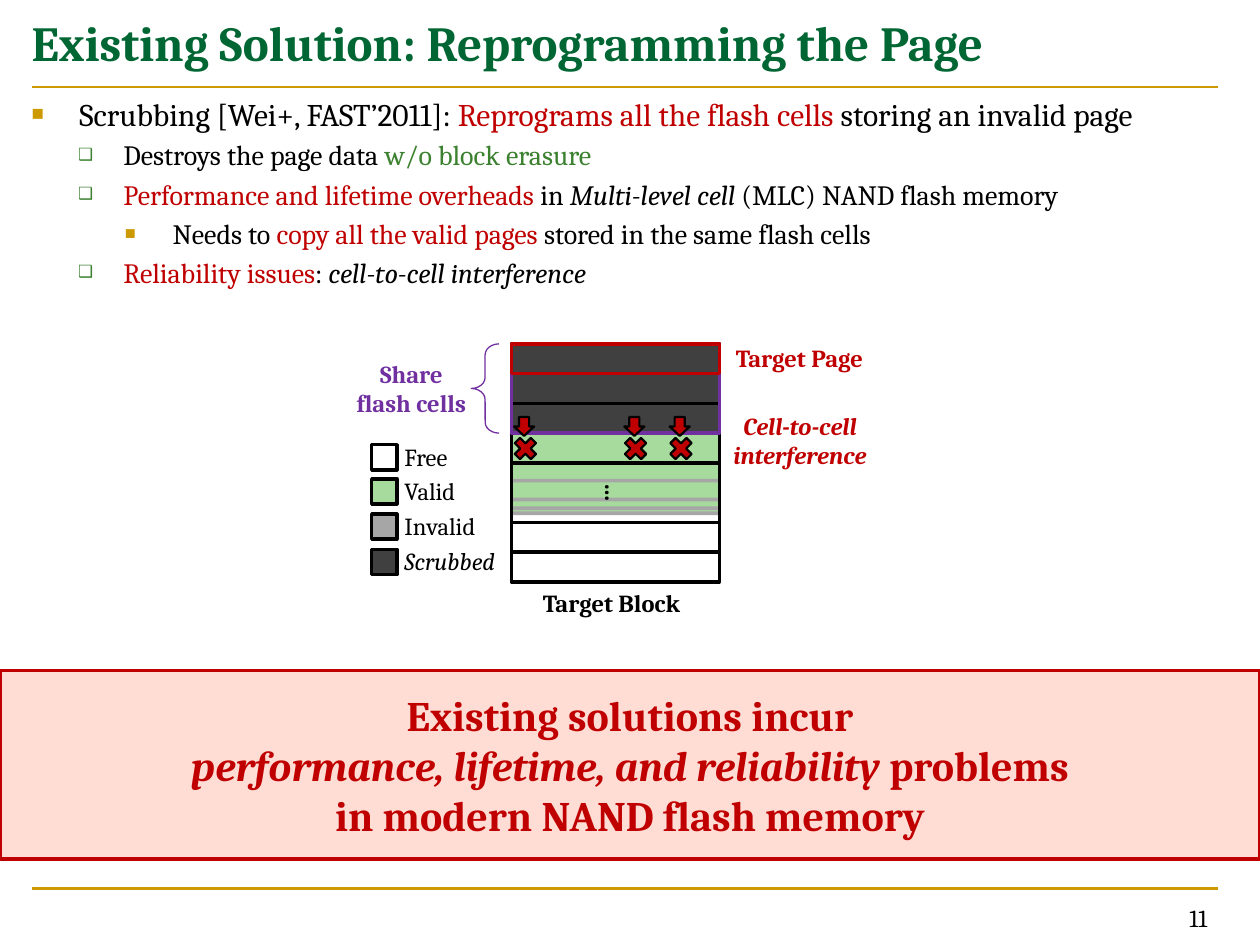
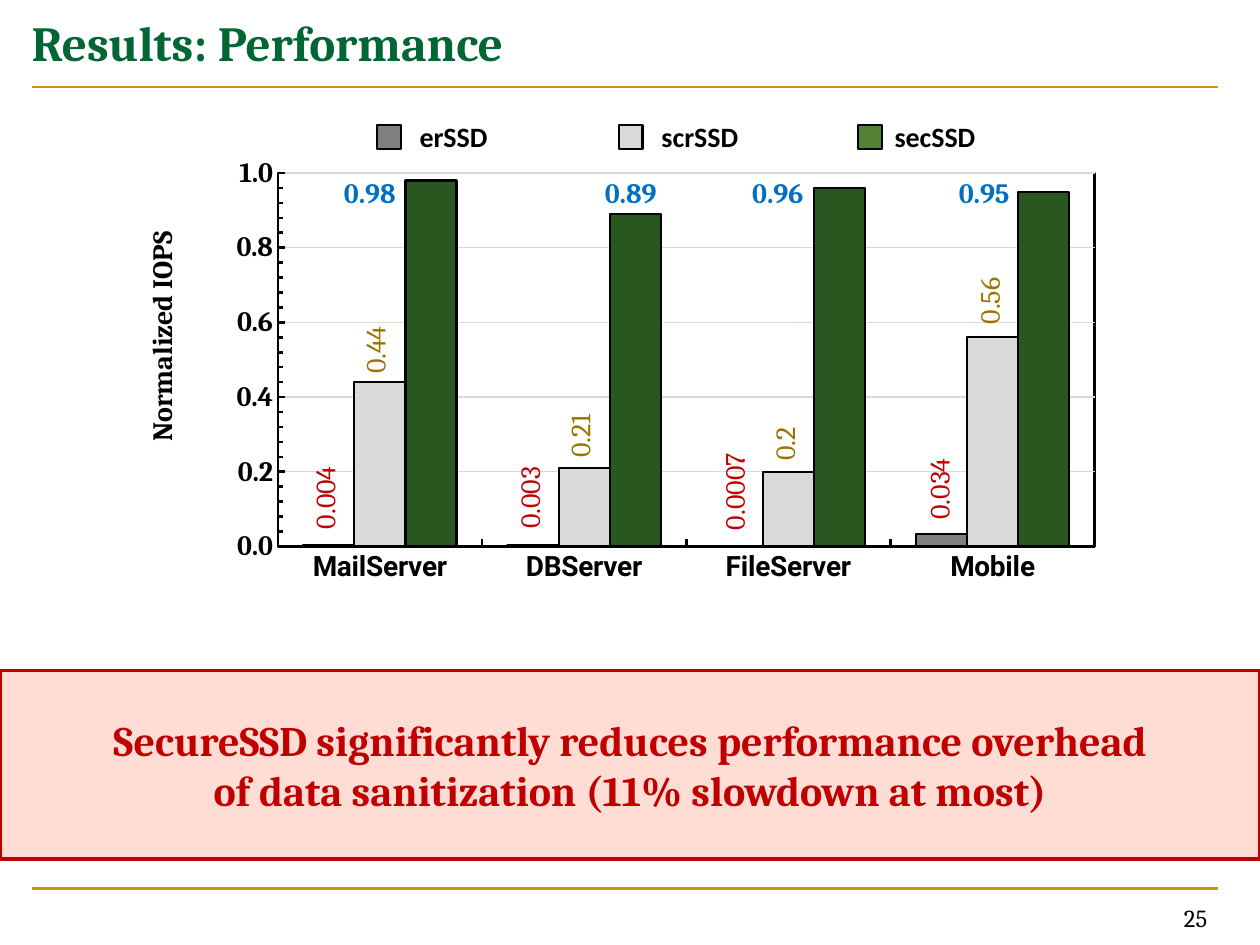
import dataclasses
from typing import NamedTuple, Optional, Sequence

import pptx
import pptx.chart.data
import pptx.dml.color
import pptx.enum.chart
import pptx.enum.shapes
import pptx.enum.text
import pptx.oxml
import pptx.oxml.ns
import pptx.util

SHAPE = pptx.enum.shapes.MSO_SHAPE
ALIGN = pptx.enum.text.PP_ALIGN
ANCHOR = pptx.enum.text.MSO_ANCHOR

# The slide is a grid of 100 columns by 75 rows.
SLIDE_WIDTH, SLIDE_HEIGHT = pptx.util.Inches(10), pptx.util.Inches(7.5)
COLUMN, ROW = SLIDE_WIDTH / 100, SLIDE_HEIGHT / 75

BLACK, WHITE, RED, PURPLE = "000000", "FFFFFF", "C00000", "7030A0"
GOLD, GREEN, TITLE_GREEN = "CC9900", "3B812F", "006633"
BLUE, OCHRE, PINK = "0070C0", "997300", "FFDDD5"
VALID, INVALID, SCRUBBED = "A6DB9D", "A6A6A6", "404040"
DEFAULT_INSETS = (0.1, 0.05, 0.1, 0.05)
NO_INSETS = (0, 0, 0, 0)


class Box(NamedTuple):
    column: float
    row: float
    columns: float
    rows: float

    def lengths(self) -> tuple:
        return (int(self.column * COLUMN), int(self.row * ROW),
                int(self.columns * COLUMN), int(self.rows * ROW))


@dataclasses.dataclass(frozen=True)
class Style:
    size: float
    color: str = BLACK
    bold: bool = False
    italic: bool = False
    font: str = "Cambria"

    def but(self, **changes) -> "Style":
        return dataclasses.replace(self, **changes)


class Run(NamedTuple):
    text: str
    style: Style


class Level(NamedTuple):
    margin: float
    hanging: float
    bullet: str
    color: str
    percent: int


class Item(NamedTuple):
    level: int
    runs: Sequence[Run]


class Workload(NamedTuple):
    name: str
    values: Sequence[float]
    label_rows: Sequence[float]
    best_label_column: float


LEVELS = [Level(0.38, 0.38, "■", GOLD, 65), Level(0.73, 0.36, "❑", GREEN, 60),
          Level(1.12, 0.38, "■", GOLD, 65)]
TOP, SUB, NOTE = Style(18), Style(16), Style(14)
HEADLINE = Style(24, RED, bold=True)
LEGEND = Style(16, bold=True, font="Calibri")

SCRUBBING_ITEMS = [
    Item(0, [Run("Scrubbing [Wei+, FAST’2011]: ", TOP),
             Run("Reprograms all the flash cells", TOP.but(color=RED)),
             Run(" storing an invalid page", TOP)]),
    Item(1, [Run("Destroys the page data ", SUB),
             Run("w/o block erasure", SUB.but(color=GREEN))]),
    Item(1, [Run("Performance and lifetime overheads ", SUB.but(color=RED)),
             Run("in ", SUB), Run("Multi-level cell", SUB.but(italic=True)),
             Run(" (MLC) NAND flash memory", SUB)]),
    Item(2, [Run("Needs to ", SUB),
             Run("copy all the valid pages ", SUB.but(color=RED)),
             Run("stored in the same flash cells", SUB)]),
    Item(1, [Run("Reliability issues", SUB.but(color=RED)), Run(": ", SUB),
             Run("cell-to-cell interference", SUB.but(italic=True))]),
]
WORKLOADS = [
    Workload("MailServer", (0.004, 0.44, 0.98), (36.3, 25.2), 27.3),
    Workload("DBServer", (0.003, 0.21, 0.89), (36.3, 32), 48),
    Workload("FileServer", (0.0007, 0.2, 0.96), (35.2, 33.3), 59.7),
    Workload("Mobile", (0.034, 0.56, 0.95), (35.6, 21.3), 76.1),
]


def rgb(color: str) -> pptx.dml.color.RGBColor:
    return pptx.dml.color.RGBColor.from_string(color)


def apply_font(font, style: Style) -> None:
    font.name, font.size = style.font, pptx.util.Pt(style.size)
    font.bold, font.italic = style.bold, style.italic
    font.color.rgb = rgb(style.color)


def apply_line(line, color: str, width: float) -> None:
    line.color.rgb = rgb(color)
    line.width = pptx.util.Pt(width)


def add_runs(paragraph, runs: Sequence[Run]) -> None:
    for text, style in runs:
        for number, piece in enumerate(text.split("\n")):
            if number:
                paragraph.add_line_break()
            run = paragraph.add_run()
            run.text = piece
            apply_font(run.font, style)


def write(shape, paragraphs: Sequence[Sequence[Run]], align=ALIGN.LEFT,
          anchor=ANCHOR.TOP, insets=DEFAULT_INSETS, wrap: bool = True) -> None:
    """Set the text frame of a shape and fill it with paragraphs of runs."""
    frame = shape.text_frame
    frame.auto_size = pptx.enum.text.MSO_AUTO_SIZE.NONE
    frame.word_wrap, frame.vertical_anchor = wrap, anchor
    (frame.margin_left, frame.margin_top, frame.margin_right,
     frame.margin_bottom) = map(pptx.util.Inches, insets)
    for number, runs in enumerate(paragraphs):
        paragraph = frame.add_paragraph() if number else frame.paragraphs[0]
        paragraph.alignment = align
        add_runs(paragraph, runs)


def add_text(slide, box: Box, text: str, style: Style, **options):
    text_box = slide.shapes.add_textbox(*box.lengths())
    write(text_box, [[Run(text, style)]], **options)
    return text_box


def add_label(slide, box: Box, text: str, style: Style = NOTE, **options) -> None:
    add_text(slide, box, text, style, insets=NO_INSETS, wrap=False, **options)


def add_shape(slide, box: Box, fill: Optional[str] = None, line: Optional[str] = None,
              width: float = 2, kind=SHAPE.RECTANGLE):
    shape = slide.shapes.add_shape(kind, *box.lengths())
    shape.shadow.inherit = False
    if fill:
        shape.fill.solid()
        shape.fill.fore_color.rgb = rgb(fill)
    else:
        shape.fill.background()
    if line:
        apply_line(shape.line, line, width)
    else:
        shape.line.fill.background()
    return shape


def add_rule(slide, row: float) -> None:
    """Draw a gold line across the slide."""
    left, top, width, _ = Box(2.5, row, 94.2, 0).lengths()
    connector = slide.shapes.add_connector(
        pptx.enum.shapes.MSO_CONNECTOR.STRAIGHT, left, top, left + width, top)
    apply_line(connector.line, GOLD, 1.5)
    connector.element.spPr.append(pptx.oxml.parse_xml(
        f"<a:effectLst {pptx.oxml.ns.nsdecls('a')}/>"))


def place(shape, box: Box) -> None:
    shape.left, shape.top, shape.width, shape.height = box.lengths()


def add_slide(presentation, layout: int, title: str, number: int):
    slide = presentation.slides.add_slide(presentation.slide_layouts[layout])
    for row in (70.5, 6.9):
        add_rule(slide, row)
    place(slide.shapes.title, Box(2.5, 0.4, 94.2, 5.9))
    write(slide.shapes.title, [[Run(title, Style(28, TITLE_GREEN, bold=True))]],
          anchor=ANCHOR.MIDDLE, insets=(0, 0.05, 0, 0.05))
    add_text(slide, Box(73.5, 71.1, 23.3, 3.4), str(number), NOTE,
             align=ALIGN.RIGHT, anchor=ANCHOR.MIDDLE)
    return slide


def add_banner(slide, paragraphs: Sequence[Sequence[Run]]) -> None:
    banner = add_shape(slide, Box(0, 53.2, 100, 15), PINK, RED)
    write(banner, paragraphs, align=ALIGN.CENTER, anchor=ANCHOR.MIDDLE)


def fill_list(body, items: Sequence[Item]) -> None:
    place(body, Box(2.5, 7, 94.2, 63.5))
    write(body, [item.runs for item in items], insets=(0, 0.05, 0, 0.05))
    body.text_frame.paragraphs[0].space_before = pptx.util.Pt(0)
    for paragraph, item in zip(body.text_frame.paragraphs, items):
        level = LEVELS[item.level]
        paragraph.level = item.level
        properties = paragraph._p.get_or_add_pPr()
        properties.set("marL", str(pptx.util.Inches(level.margin)))
        properties.set("indent", str(-pptx.util.Inches(level.hanging)))
        namespace = pptx.oxml.ns.nsdecls("a")
        for element in (
                f'<a:buClr {namespace}><a:srgbClr val="{level.color}"/></a:buClr>',
                f'<a:buSzPct {namespace} val="{level.percent * 1000}"/>',
                f'<a:buChar {namespace} char="{level.bullet}"/>'):
            properties.append(pptx.oxml.parse_xml(element))


def draw_block(slide) -> None:
    """Draw the flash block: eight pages, with the middle ones cut short."""
    left, top, width, page = 40.6, 27.3, 16.5, 2.36

    def pages(first: int, count: float = 1) -> Box:
        return Box(left, top + first * page, width, count * page)

    for index in range(3):
        add_shape(slide, pages(index), SCRUBBED, BLACK)
    add_shape(slide, pages(4, 1.75), VALID)
    for row in (38, 39.5, 40.2, 40.6):
        add_shape(slide, Box(left, row, width, 0.3), INVALID)
    add_shape(slide, pages(3), VALID, BLACK)
    add_shape(slide, pages(4, 2), None, BLACK)
    for index in (6, 7):
        add_shape(slide, pages(index), WHITE, BLACK)
    dots = add_text(slide, Box(46.2, 37.9, 5.2, 2.4), "…", NOTE.but(bold=True),
                    align=ALIGN.CENTER, anchor=ANCHOR.MIDDLE, insets=NO_INSETS)
    dots.rotation = 90
    add_shape(slide, pages(0, 3), None, PURPLE)
    add_shape(slide, pages(0), None, RED)
    brace = add_shape(slide, Box(37.4, top, 2.2, 3 * page), None, PURPLE, 0.75,
                      SHAPE.LEFT_BRACE)
    brace.adjustments[0] = 0.397
    for column in (40.8, 49.55, 53.15):
        add_shape(slide, Box(column, 33.1, 1.6, 1.5), RED, BLACK, 1.25, SHAPE.DOWN_ARROW)
        cross = add_shape(slide, Box(column, 34.7, 1.8, 1.8), RED, BLACK, 1.25, SHAPE.CROSS)
        cross.adjustments[0] = 0.339
        cross.rotation = 315


def build_scrubbing_slide(presentation) -> None:
    slide = add_slide(presentation, 1, "Existing Solution: Reprogramming the Page", 11)
    fill_list(slide.placeholders[1], SCRUBBING_ITEMS)
    draw_block(slide)
    strong = NOTE.but(bold=True)
    add_label(slide, Box(43.1, 46.7, 11.4, 2.4), "Target Block", strong)
    add_label(slide, Box(58.4, 27.2, 10.5, 2.4), "Target Page", strong.but(color=RED))
    add_label(slide, Box(58.1, 32.6, 10.8, 4.7), "Cell-to-cell\ninterference",
              strong.but(color=RED, italic=True), align=ALIGN.CENTER)
    add_label(slide, Box(28.2, 28.5, 8.9, 4.7), "Share\nflash cells",
              strong.but(color=PURPLE), align=ALIGN.CENTER)
    for name, fill, row, columns in (("Free", WHITE, 35.3, 3.7), ("Valid", VALID, 38, 4.2),
                                     ("Invalid", INVALID, 40.8, 5.8),
                                     ("Scrubbed", SCRUBBED, 43.6, 7.9)):
        add_shape(slide, Box(29.5, row, 2, 2), fill, BLACK)
        add_label(slide, Box(32.1, row - 0.25, columns, 2.4), name,
                  NOTE.but(italic=name == "Scrubbed"))
    add_banner(slide, [
        [Run("Existing solutions incur", HEADLINE)],
        [Run("performance, lifetime, and reliability ", HEADLINE.but(italic=True)),
         Run("problems", HEADLINE)],
        [Run("in modern NAND flash memory", HEADLINE)]])


def add_iops_chart(slide) -> None:
    data = pptx.chart.data.CategoryChartData()
    data.categories = [workload.name for workload in WORKLOADS]
    for index in range(3):
        data.add_series(f"Series {index + 1}", [load.values[index] for load in WORKLOADS])
    chart = slide.shapes.add_chart(pptx.enum.chart.XL_CHART_TYPE.COLUMN_CLUSTERED,
                                   *Box(15.5, 9.8, 73.6, 38.6).lengths(), data).chart
    apply_font(chart.font, Style(10, font="Roboto"))
    chart.has_legend = chart.has_title = False
    plot = chart.plots[0]
    plot.gap_width, plot.overlap, plot.vary_by_categories = 100, 0, False
    for series, color in zip(plot.series, ("808080", "D9D9D9", "285720")):
        series.format.fill.solid()
        series.format.fill.fore_color.rgb = rgb(color)
        apply_line(series.format.line, BLACK, 1.25)
    inside = pptx.enum.chart.XL_TICK_MARK.INSIDE
    for axis, font in ((chart.category_axis, "Roboto"), (chart.value_axis, "Cambria")):
        axis.major_tick_mark = inside
        apply_font(axis.tick_labels.font, Style(16, bold=True, font=font))
        apply_line(axis.format.line, BLACK, 1.5)
    values = chart.value_axis
    values.minor_tick_mark = inside
    values.minimum_scale, values.maximum_scale = 0, 1
    values.major_unit, values.minor_unit = 0.2, 0.04
    values.tick_labels.number_format = "0.0"
    values.tick_labels.number_format_is_linked = False
    apply_line(values.major_gridlines.format.line, "D9D9D9", 0.75)
    frame_plot_area(chart.element.chart.plotArea)


def frame_plot_area(area) -> None:
    """Fix the inner plot area in the chart and outline it."""
    namespace = pptx.oxml.ns.nsdecls("c", "a")
    for layout in area.findall(pptx.oxml.ns.qn("c:layout")):
        area.remove(layout)
    shares = "".join(f'<c:{name} val="{share}"/>' for name, share in (
        ("xMode", "edge"), ("yMode", "edge"), ("x", 0.089), ("y", 0.102),
        ("w", 0.881), ("h", 0.768)))
    area.insert(0, pptx.oxml.parse_xml(
        f'<c:layout {namespace}><c:manualLayout><c:layoutTarget val="inner"/>'
        f"{shares}</c:manualLayout></c:layout>"))
    area.append(pptx.oxml.parse_xml(
        f'<c:spPr {namespace}><a:noFill/><a:ln w="{pptx.util.Pt(1.5)}"><a:solidFill>'
        f'<a:srgbClr val="{BLACK}"/></a:solidFill></a:ln></c:spPr>'))


def build_performance_slide(presentation) -> None:
    slide = add_slide(presentation, 5, "Results: Performance", 25)
    axis_title = add_text(slide, Box(-2.8, 23.6, 33.7, 6.2), "Normalized IOPS",
                          Style(16, bold=True), align=ALIGN.CENTER)
    axis_title.rotation = 270
    add_iops_chart(slide)
    for name, fill, column, gap in (("erSSD", "7F7F7F", 29.9, 3.4),
                                    ("scrSSD", "D9D9D9", 49.1, 3.4),
                                    ("secSSD", "548235", 68.1, 2.9)):
        add_shape(slide, Box(column, 9.9, 1.9, 1.9), fill, BLACK, 1.25)
        add_text(slide, Box(column + gap, 9.5, 9.6, 2.7), name, LEGEND,
                 anchor=ANCHOR.MIDDLE, insets=NO_INSETS)
    add_banner(slide, [[Run("SecureSSD significantly reduces performance overhead\n"
                            "of data sanitization (11% slowdown at most)", HEADLINE)]])
    for index, workload in enumerate(WORKLOADS):
        add_text(slide, Box(workload.best_label_column, 13.9, 4.7, 2.7),
                 str(workload.values[2]), Style(16, BLUE, bold=True), insets=NO_INSETS)
        for value, row, first, color in zip(workload.values, workload.label_rows,
                                            (23.9, 27.9), (RED, OCHRE)):
            text = str(value)
            box = Box(first + 16.25 * index, row, 4.7, 1.24 * len(text) + 0.2)
            label = add_text(slide, box, text, Style(16, color),
                             align=ALIGN.CENTER, wrap=False)
            label.text_frame._txBody.bodyPr.set("vert", "vert270")


def main() -> None:
    presentation = pptx.Presentation()
    presentation.slide_width, presentation.slide_height = SLIDE_WIDTH, SLIDE_HEIGHT
    build_scrubbing_slide(presentation)
    build_performance_slide(presentation)
    presentation.save("out.pptx")


if __name__ == "__main__":
    main()
